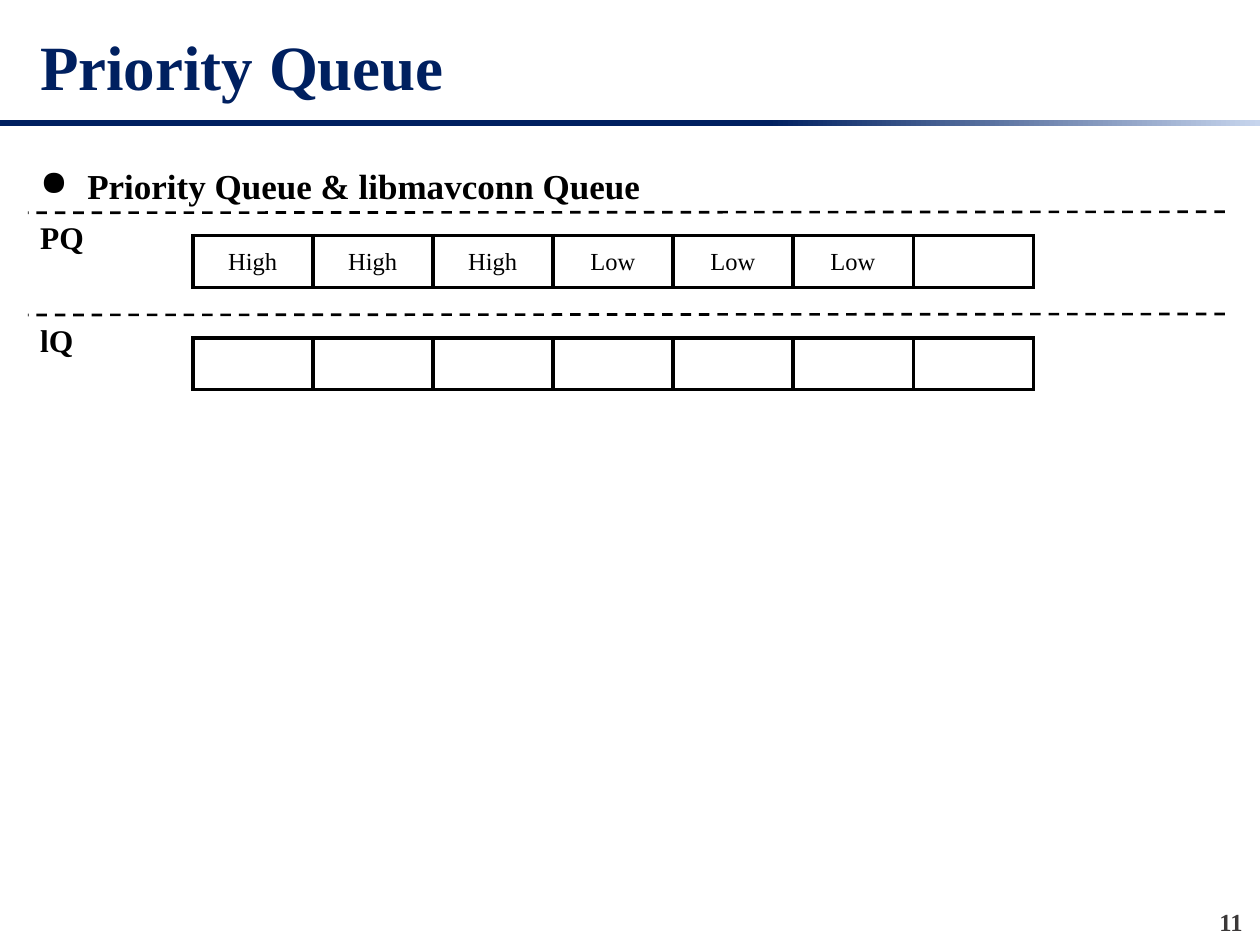
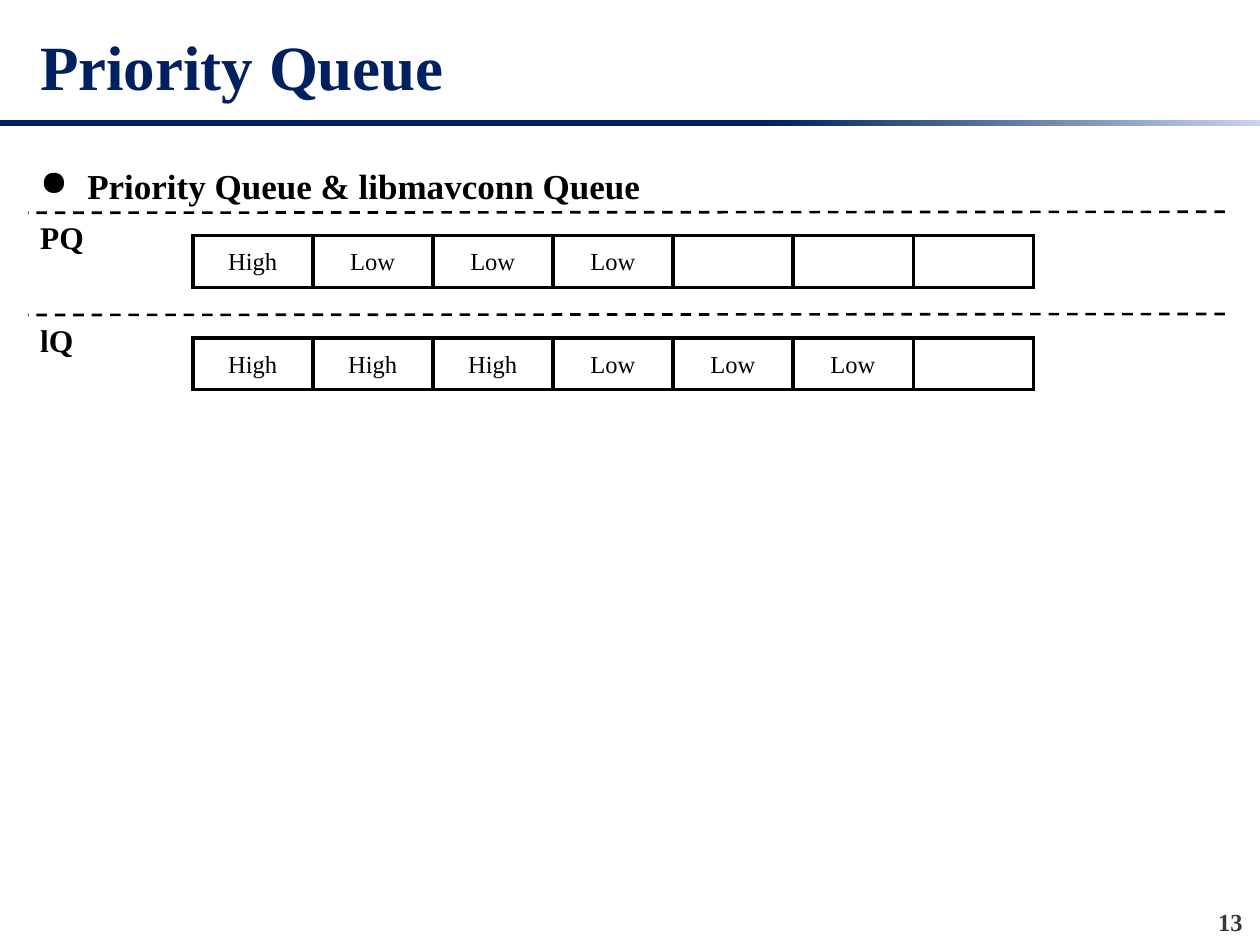
import lxml.etree
import pptx
import pptx.dml.color
import pptx.enum.dml
import pptx.enum.shapes
import pptx.enum.text
import pptx.oxml.ns
import pptx.util
from pptx.util import Cm

COLORS = {"navy": "002060", "pale": "C7D5ED", "black": "000000", "white": "FFFFFF", "gray": "3B3838"}
FONT = "Times New Roman"
ALIGN = pptx.enum.text.PP_ALIGN
MIDDLE = pptx.enum.text.MSO_ANCHOR.MIDDLE
SHAPES = pptx.enum.shapes.MSO_SHAPE

LEFT, CONTENT_WIDTH = 0.56, 24.13
QUEUE_LEFT, QUEUE_TOP, QUEUE_PITCH = 3.89, 4.75, 2.06
CELL_COUNT, CELL_WIDTH, CELL_HEIGHT = 7, 2.42, 1.04
ITEM_WIDTH, ITEM_HEIGHT = 2.31, 1.02

SLIDES = [
    ("11", {"PQ": ["High"] * 3 + ["Low"] * 3, "lQ": []}),
    ("13", {"PQ": ["High"] + ["Low"] * 3, "lQ": ["High"] * 3 + ["Low"] * 3}),
]


def rgb(name):
    return pptx.dml.color.RGBColor.from_string(COLORS[name])


def write_text(shape, text, size, color="black", bold=True, align=ALIGN.LEFT):
    shape.text_frame.word_wrap = True
    shape.text_frame.text = text
    paragraph = shape.text_frame.paragraphs[0]
    paragraph.alignment = align
    font = paragraph.runs[0].font
    font.name = FONT
    font.size = pptx.util.Pt(size)
    font.bold = bold
    font.color.rgb = rgb(color)
    return paragraph


presentation = pptx.Presentation()
presentation.slide_width = Cm(25.4)
presentation.slide_height = Cm(19.05)

for page_number, queues in SLIDES:
    slide = presentation.slides.add_slide(presentation.slide_layouts[6])

    title = slide.shapes.add_textbox(Cm(LEFT), Cm(0.3), Cm(CONTENT_WIDTH), Cm(2.03))
    title.text_frame.vertical_anchor = MIDDLE
    write_text(title, "Priority Queue", 36, "navy")

    band = slide.shapes.add_shape(SHAPES.RECTANGLE, 0, Cm(2.41), presentation.slide_width, Cm(0.13))
    band.shadow.inherit = False
    band.line.fill.background()
    band.fill.gradient()
    band.fill.gradient_angle = 0
    for stop, (position, color) in zip(band.fill.gradient_stops, [(0.61, "navy"), (1, "pale")]):
        stop.position = position
        stop.color.rgb = rgb(color)

    heading = slide.shapes.add_textbox(Cm(LEFT), Cm(2.77), Cm(CONTENT_WIDTH), Cm(1.37))
    paragraph = write_text(heading, "Priority Queue & libmavconn Queue", 20)
    paragraph.line_spacing = 1.5
    properties = paragraph._p.get_or_add_pPr()
    properties.set("marL", str(Cm(0.95)))
    properties.set("indent", str(-Cm(0.95)))
    lxml.etree.SubElement(properties, pptx.oxml.ns.qn("a:buChar")).set("char", "●")

    footer = slide.shapes.add_textbox(Cm(24.23), Cm(18.16), Cm(1.07), Cm(0.76))
    write_text(footer, page_number, 14, "gray", align=ALIGN.RIGHT)

    for row, (queue_name, items) in enumerate(queues.items()):
        queue_top = QUEUE_TOP + row * QUEUE_PITCH
        divider_top = queue_top - 0.48

        frame = slide.shapes.add_table(1, CELL_COUNT, Cm(QUEUE_LEFT), Cm(queue_top),
                                       Cm(CELL_COUNT * CELL_WIDTH), Cm(CELL_HEIGHT))
        table = frame.table
        table.first_row = False
        table.horz_banding = False
        for column, cell in enumerate(table.iter_cells()):
            table.columns[column].width = Cm(CELL_WIDTH)
            cell_properties = cell._tc.get_or_add_tcPr()
            for side in ("a:lnL", "a:lnR", "a:lnT", "a:lnB"):
                border = lxml.etree.SubElement(cell_properties, pptx.oxml.ns.qn(side))
                border.set("w", str(pptx.util.Pt(2.25)))
                border_fill = lxml.etree.SubElement(border, pptx.oxml.ns.qn("a:solidFill"))
                lxml.etree.SubElement(border_fill, pptx.oxml.ns.qn("a:srgbClr")).set("val", COLORS["black"])
            cell.fill.solid()
            cell.fill.fore_color.rgb = rgb("white")

        divider = slide.shapes.add_connector(pptx.enum.shapes.MSO_CONNECTOR.STRAIGHT,
                                             Cm(LEFT + CONTENT_WIDTH), Cm(divider_top),
                                             Cm(LEFT), Cm(divider_top + 0.02))
        divider.line.color.rgb = rgb("black")
        divider.line.width = pptx.util.Pt(1.5)
        divider.line.dash_style = pptx.enum.dml.MSO_LINE.DASH
        lxml.etree.SubElement(divider._element.spPr, pptx.oxml.ns.qn("a:effectLst"))

        label = slide.shapes.add_textbox(Cm(LEFT), Cm(divider_top + 0.01), Cm(2.72), Cm(1.02))
        write_text(label, queue_name, 18)

        for column, priority in enumerate(items):
            item = slide.shapes.add_shape(SHAPES.ROUNDED_RECTANGLE,
                                          Cm(QUEUE_LEFT + 0.05 + column * CELL_WIDTH),
                                          Cm(queue_top + 0.02 * row), Cm(ITEM_WIDTH), Cm(ITEM_HEIGHT))
            item.shadow.inherit = False
            item.fill.background()
            item.line.fill.background()
            item.text_frame.vertical_anchor = MIDDLE
            write_text(item, priority, 14, bold=False, align=ALIGN.CENTER)

presentation.save("out.pptx")
